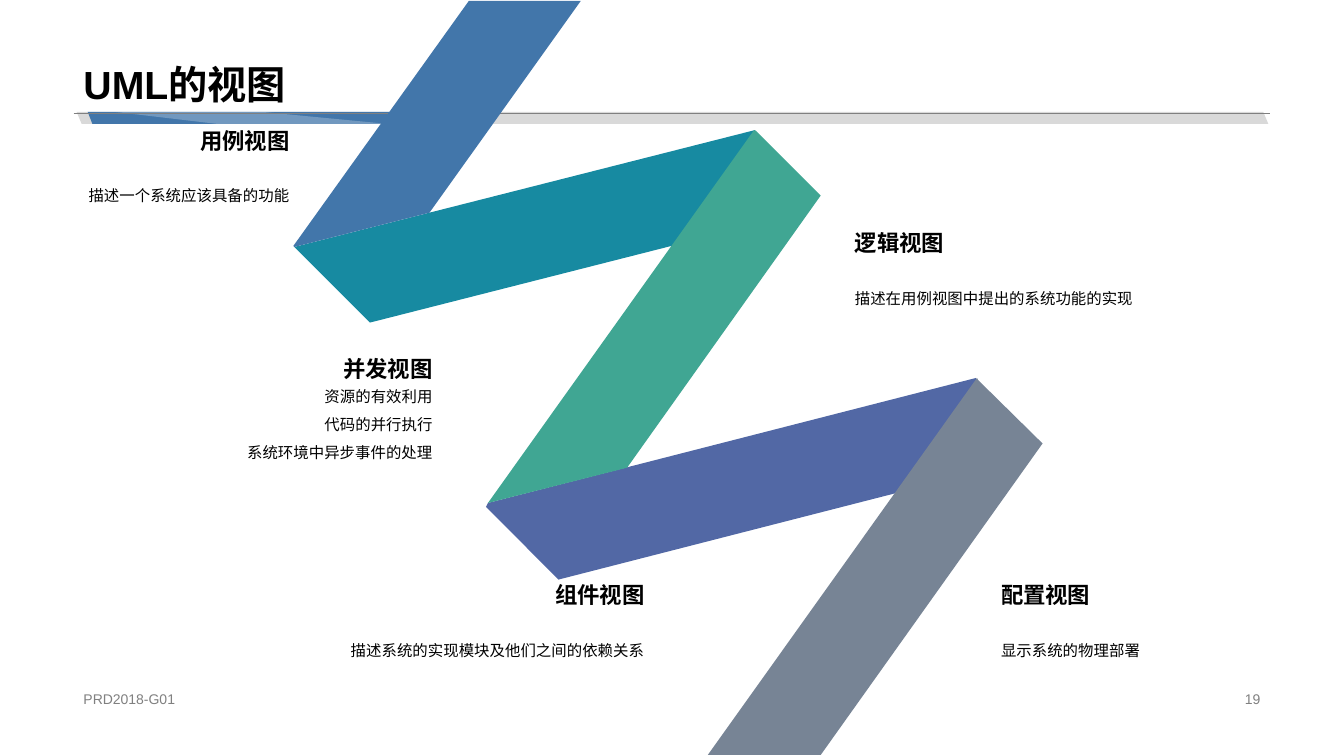
import pptx
import pptx.util
import pptx.dml.color
import pptx.enum.shapes
import pptx.enum.text
import pptx.oxml.ns
import lxml.etree

ALIGN = pptx.enum.text.PP_ALIGN
ANCHOR = pptx.enum.text.MSO_ANCHOR
SHAPE = pptx.enum.shapes.MSO_SHAPE


def rgb(value):
    return pptx.dml.color.RGBColor.from_string(value)


class Deck:
    """Draws styled elements on the current slide, on a grid of 0.1 inch cells."""

    CELL = 91440
    FONT = "Arial"
    STYLES = {
        "title": {"size": pptx.util.Pt(28), "bold": True},
        "heading": {"size": pptx.util.Pt(16), "bold": True},
        "body": {"size": pptx.util.Pt(11)},
        "footer": {"size": pptx.util.Pt(10)},
    }
    COLORS = {"footer": "808080"}
    SPACING = {"title": 0.9, "body": 1.5}

    def __init__(self, prs):
        self.slide = prs.slides.add_slide(prs.slide_layouts[6])
        self.shapes = self.slide.shapes

    def grid(self, *cells):
        return [round(c * self.CELL) for c in cells]

    def paint(self, sp, color, alpha=None):
        sp.shadow.inherit = False
        sp.fill.solid()
        sp.fill.fore_color.rgb = rgb(color)
        sp.line.fill.background()
        if alpha:
            clr = sp.element.spPr.find(".//" + pptx.oxml.ns.qn("a:srgbClr"))
            lxml.etree.SubElement(clr, pptx.oxml.ns.qn("a:alpha"), val=str(alpha * 1000))

    def bar(self, box, slant, color):
        sp = self.shapes.add_shape(SHAPE.PARALLELOGRAM, *self.grid(*box))
        sp.adjustments[0] = slant
        sp.element.spPr.xfrm.set("flipH", "1")
        self.paint(sp, color)

    def outline(self, points, color, alpha=None):
        start, *rest = [self.grid(*pt) for pt in points]
        fb = self.shapes.build_freeform(*start)
        fb.add_line_segments(rest, close=True)
        self.paint(fb.convert_to_shape(), color, alpha)

    def rule(self, ends, color, width):
        cx = self.shapes.add_connector(pptx.enum.shapes.MSO_CONNECTOR.STRAIGHT, *self.grid(*ends))
        cx.line.color.rgb = rgb(color)
        cx.line.width = pptx.util.Pt(width)
        lxml.etree.SubElement(cx.element.spPr, pptx.oxml.ns.qn("a:effectLst"))

    def text(self, box, lines, style, align=ALIGN.LEFT, anchor=ANCHOR.MIDDLE):
        tf = self.shapes.add_textbox(*self.grid(*box)).text_frame
        tf.word_wrap = True
        tf.vertical_anchor = anchor
        for i, line in enumerate(lines):
            p = tf.add_paragraph() if i else tf.paragraphs[0]
            p.alignment = align
            p.line_spacing = self.SPACING.get(style)
            r = p.add_run()
            r.text = line
            for name, value in {"name": self.FONT, **self.STYLES[style]}.items():
                setattr(r.font, name, value)
            r.font.color.rgb = rgb(self.COLORS.get(style, "000000"))

    def view(self, left, top, width, align, heading, *lines):
        self.text((left, top + 3.75, width, 6.4), lines, "body", align)
        self.text((left, top, width, 3.8), [heading], "heading", align)


RIBBONS = [
    ("5268A5", [(96.8, 37.5), (48.4, 49.9), (48.2, 50.3), (55.4, 57.5), (99.1, 46.3)]),
    ("178AA1", [(74.9, 12.9), (29.2, 24.5), (36.7, 32), (77.2, 21.7)]),
    ("4276AA", [(29.2, 24.5), (42.6, 21.1), (57.6, 0.1), (46.5, 0.1), (29.1, 24.4)]),
    ("778495", [(97, 37.7), (96.9, 37.5), (70.2, 74.9), (81.4, 74.9), (103.4, 44)]),
    ("40A693", [(81.4, 19.4), (75, 13), (74.8, 12.9), (48.4, 49.9), (62.2, 46.4)]),
]
VIEWS = [
    (98.3, 57.1, 26.9, ALIGN.LEFT, "配置视图", "显示系统的物理部署"),
    (7.3, 12, 22.4, ALIGN.RIGHT, "用例视图", "描述一个系统应该具备的功能"),
    (33.7, 57.1, 31.2, ALIGN.RIGHT, "组件视图", "描述系统的实现模块及他们之间的依赖关系"),
    (83.8, 22.2, 29.9, ALIGN.LEFT, "逻辑视图", "描述在用例视图中提出的系统功能的实现"),
    (17.6, 34.7, 26.3, ALIGN.RIGHT, "并发视图",
     "资源的有效利用", "代码的并行执行", "系统环境中异步事件的处理"),
]


def main():
    prs = pptx.Presentation()
    prs.slide_width = pptx.util.Inches(13.33)
    prs.slide_height = pptx.util.Inches(7.5)
    deck = Deck(prs)

    deck.bar((7.6, 11.1, 118.2, 1.2), 0.42, "D9D9D9")
    deck.bar((8.7, 11.1, 31.2, 1.2), 0.39, "4276AA")
    deck.outline([(38.5, 12.3), (26, 11.1), (11.4, 11.1), (21.6, 12.3)], "FFFFFF", 25)
    deck.rule((7.3, 11.2, 126, 11.2), "808080", 0.25)
    deck.text((7.3, 68.2, 45.3, 2.3), ["PRD2018-G01"], "footer")
    deck.text((94.2, 68.2, 31.8, 2.3), ["19"], "footer", ALIGN.RIGHT)

    for color, points in RIBBONS:
        deck.outline(points, color)
    for view in VIEWS:
        deck.view(*view)
    deck.text((7.3, 0, 118.7, 11.2), ["UML的视图"], "title", anchor=ANCHOR.BOTTOM)

    prs.save("out.pptx")


if __name__ == "__main__":
    main()
